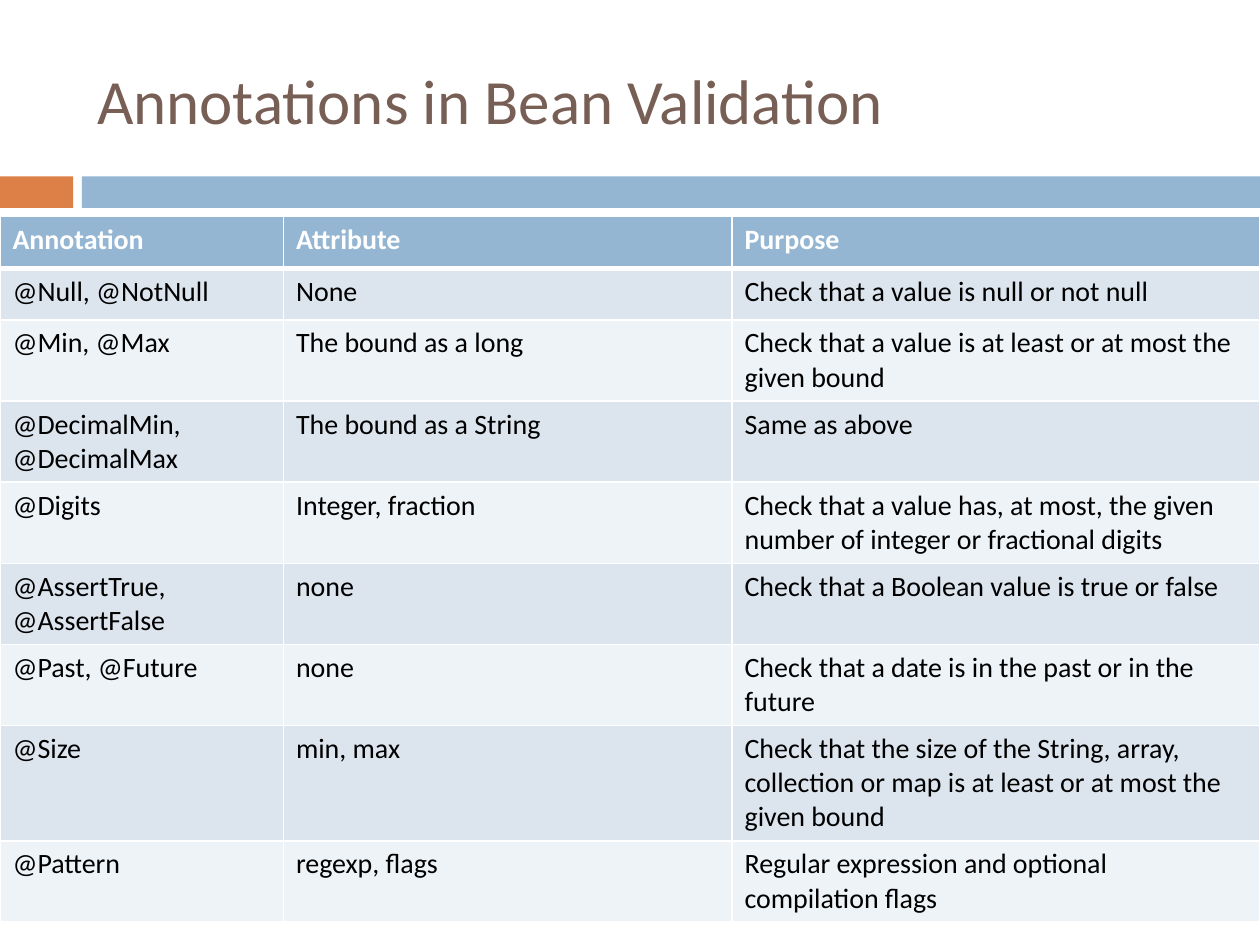
"""Build a slide with a table of Bean Validation annotations."""
import lxml.etree
import pptx
import pptx.dml.color
import pptx.enum.shapes
import pptx.enum.text
import pptx.oxml.ns
import pptx.util

RGBColor = pptx.dml.color.RGBColor
BLUE = RGBColor(0x94, 0xB6, 0xD2)
ORANGE = RGBColor(0xDD, 0x80, 0x47)
BROWN = RGBColor(0x77, 0x5F, 0x55)
WHITE = RGBColor(0xFF, 0xFF, 0xFF)
BLACK = RGBColor(0x00, 0x00, 0x00)
BANDS = (RGBColor(0xEE, 0xF3, 0xF7), RGBColor(0xDC, 0xE5, 0xEE))

FONT = "Calibri"
WIDTH, HEIGHT = 10, 7.5
COLUMN_SHARES = (0.225, 0.356, 0.419)
ROW_HEIGHT = 0.41
TABLE_TOP = 1.72
BAR_TOP, BAR_HEIGHT = 1.4, 0.25
ROWS = (
    ("Annotation", "Attribute", "Purpose"),
    ("@Null, @NotNull", "None", "Check that a value is null or not null"),
    ("@Min, @Max", "The bound as a long",
     "Check that a value is at least or at most the given bound"),
    ("@DecimalMin, @DecimalMax", "The bound as a String", "Same as above"),
    ("@Digits", "Integer, fraction",
     "Check that a value has, at most, the given number of integer or fractional digits"),
    ("@AssertTrue, @AssertFalse", "none", "Check that a Boolean value is true or false"),
    ("@Past, @Future", "none", "Check that a date is in the past or in the future"),
    ("@Size", "min, max",
     "Check that the size of the String, array, collection or map"
     " is at least or at most the given bound"),
    ("@Pattern", "regexp, flags", "Regular expression and optional compilation flags"),
)


def inches(*lengths):
    """Convert several lengths from inches."""
    return [pptx.util.Inches(length) for length in lengths]


def format_font(font, size, color, bold=False):
    """Set the typeface, size, colour and weight of a font."""
    font.name = FONT
    font.size = pptx.util.Pt(size)
    font.bold = bold
    font.color.rgb = color


def add_bar(slide, left, right, color):
    """Add a plain bar of the divider between two horizontal positions."""
    bar = slide.shapes.add_shape(
        pptx.enum.shapes.MSO_SHAPE.RECTANGLE,
        *inches(left, BAR_TOP, right - left, BAR_HEIGHT))
    bar.shadow.inherit = False
    bar.fill.solid()
    bar.fill.fore_color.rgb = color
    bar.line.fill.background()


def set_title(slide, text):
    """Place, fill and format the title placeholder."""
    title = slide.shapes.title
    title.left, title.top, title.width, title.height = inches(0.67, 0.25, 8.92, 1.08)
    frame = title.text_frame
    frame.text = text
    frame.auto_size = pptx.enum.text.MSO_AUTO_SIZE.NONE
    frame.vertical_anchor = pptx.enum.text.MSO_ANCHOR.MIDDLE
    paragraph = frame.paragraphs[0]
    paragraph.alignment = pptx.enum.text.PP_ALIGN.LEFT
    format_font(paragraph.font, 36, BROWN)


def add_borders(cell, widths):
    """Give a cell white borders with widths in points for each side."""
    qualified = pptx.oxml.ns.qn
    properties = cell._tc.get_or_add_tcPr()
    for side, width in widths.items():
        line = lxml.etree.SubElement(
            properties, qualified(f"a:ln{side}"), w=str(pptx.util.Pt(width)))
        fill = lxml.etree.SubElement(line, qualified("a:solidFill"))
        lxml.etree.SubElement(fill, qualified("a:srgbClr"), val=str(WHITE))


def format_cell(cell, text, row_index):
    """Write a cell and style it as header or banded body."""
    header = row_index == 0
    add_borders(cell, {"L": 1, "R": 1, "T": 3 if row_index == 1 else 1,
                       "B": 3 if header else 1})
    cell.fill.solid()
    cell.fill.fore_color.rgb = BLUE if header else BANDS[row_index % 2]
    cell.text = text
    format_font(cell.text_frame.paragraphs[0].font, 16,
                WHITE if header else BLACK, header)


def add_annotation_table(slide):
    """Add the full-width table of annotations."""
    table = slide.shapes.add_table(
        len(ROWS), len(COLUMN_SHARES),
        *inches(0, TABLE_TOP, WIDTH, ROW_HEIGHT * len(ROWS))).table
    for column, share in zip(table.columns, COLUMN_SHARES):
        column.width = pptx.util.Inches(WIDTH * share)
    for row_index, texts in enumerate(ROWS):
        table.rows[row_index].height = pptx.util.Inches(ROW_HEIGHT)
        for column_index, text in enumerate(texts):
            format_cell(table.cell(row_index, column_index), text, row_index)


def main():
    """Build and save the presentation."""
    presentation = pptx.Presentation()
    presentation.slide_width, presentation.slide_height = inches(WIDTH, HEIGHT)
    slide = presentation.slides.add_slide(presentation.slide_layouts[5])
    add_bar(slide, 0, 0.58, ORANGE)
    add_bar(slide, 0.65, WIDTH, BLUE)
    set_title(slide, "Annotations in Bean Validation")
    add_annotation_table(slide)
    presentation.save("out.pptx")


if __name__ == "__main__":
    main()
